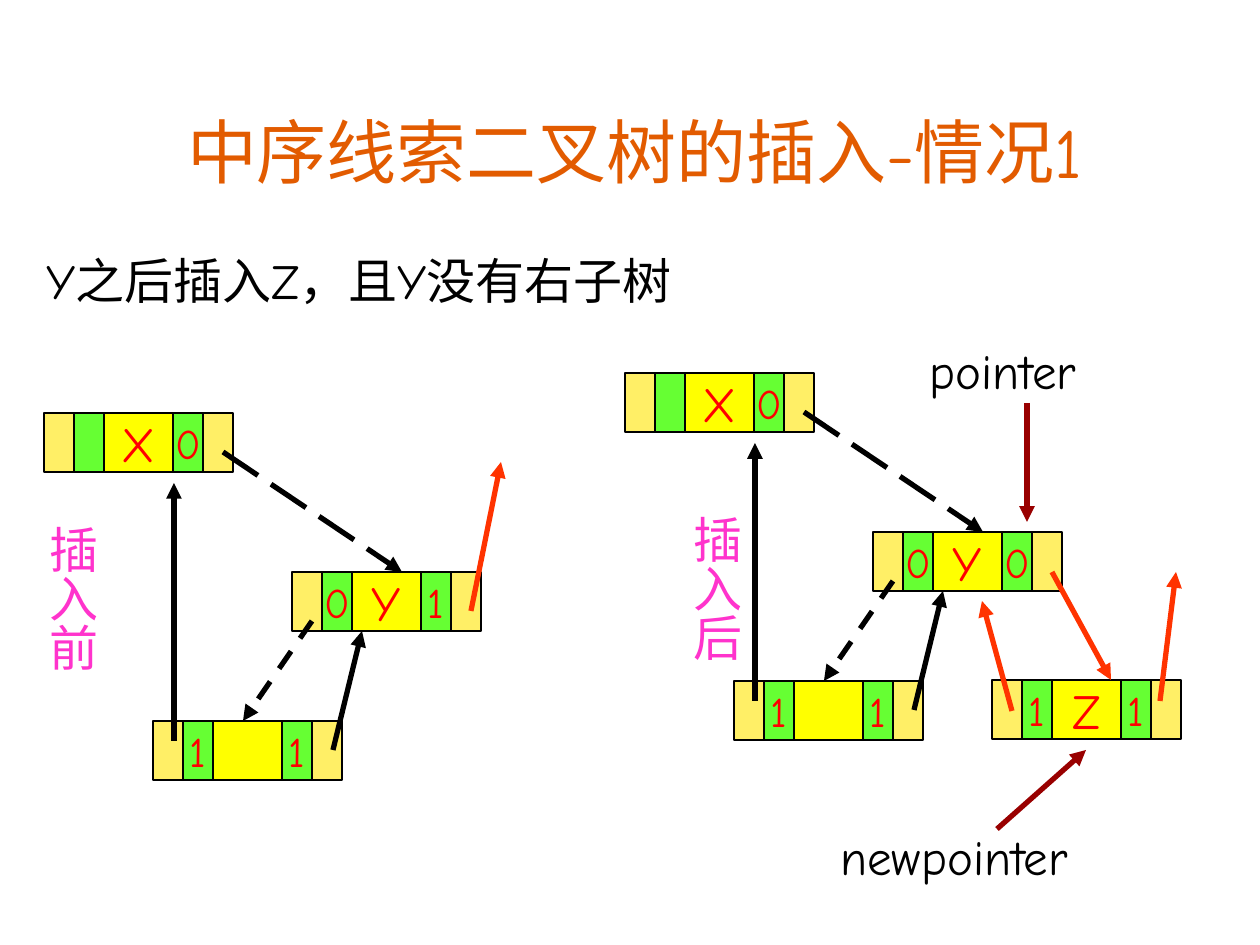
"""Build a slide on inserting a node into an inorder threaded binary tree."""
import dataclasses
import typing

import lxml.etree
import pptx
import pptx.dml.color
import pptx.enum.dml
import pptx.enum.shapes
import pptx.enum.text
import pptx.oxml.ns
import pptx.util

EMU_PER_PIXEL = 914400 / 126
CELL_WIDTHS = (30, 30, 69, 30, 30)
CELL_HEIGHT = 59
AFTER_SHIFT = (581, -40)
ALIGN = pptx.enum.text.PP_ALIGN
ANCHOR = pptx.enum.text.MSO_ANCHOR
DASH = pptx.enum.dml.MSO_LINE


@dataclasses.dataclass(frozen=True)
class Theme:
    font: str = "Comic Neue"
    title: str = "E25B00"
    ink: str = "000000"
    stage: str = "FF33CC"
    value: str = "FF0000"
    link_cell: str = "FFEF66"
    tag_cell: str = "66FF33"
    data_cell: str = "FFFF00"
    thread: str = "FF3300"
    pointer: str = "990000"
    title_size: int = 40
    text_size: int = 28
    tag_size: int = 24
    border: float = 0.75
    arrow: int = 3


THEME = Theme()


class Node(typing.NamedTuple):
    left: int
    top: int
    left_tag: str
    data: str
    right_tag: str


class Arrow(typing.NamedTuple):
    start: tuple[int, int]
    end: tuple[int, int]
    color: str = THEME.ink
    dash: typing.Any = None


class Label(typing.NamedTuple):
    text: str
    box: tuple[int, int, int, int]
    color: str = THEME.ink
    vertical: bool = False


TREE_NODES = (
    Node(44, 413, "", "X", "0"),
    Node(292, 572, "0", "Y", "1"),
    Node(153, 721, "1", "", "1"),
)
TREE_ARROWS = (
    Arrow((223, 452), (402, 572), dash=DASH.LONG_DASH),
    Arrow((312, 621), (243, 721), dash=DASH.DASH),
    Arrow((174, 741), (174, 483)),
    Arrow((333, 750), (362, 631)),
)
OLD_THREAD = Arrow((471, 611), (501, 462), THEME.thread)
NEW_NODE = Node(992, 680, "1", "Z", "1")
NEW_THREADS = (
    Arrow((1160, 701), (1176, 572), THEME.thread),
    Arrow((1052, 572), (1111, 680), THEME.thread),
    Arrow((1012, 711), (982, 601), THEME.thread),
)
LABELS = (
    Label("Y之后插入Z，且Y没有右子树", (34, 244, 992, 72)),
    Label("插入前", (25, 513, 83, 268), THEME.stage, True),
    Label("插入后", (669, 503, 83, 268), THEME.stage, True),
    Label("pointer", (917, 334, 218, 72)),
    Label("newpointer", (828, 820, 307, 72)),
)
POINTERS = (
    Arrow((997, 829), (1086, 750), THEME.pointer),
    Arrow((1027, 403), (1027, 522), THEME.pointer),
)


def lengths(*pixels: int) -> list[int]:
    """Turn pixels into EMU."""
    return [pptx.util.Emu(round(pixel * EMU_PER_PIXEL)) for pixel in pixels]


def rgb(color: str) -> pptx.dml.color.RGBColor:
    """Return a colour object for a hex string."""
    return pptx.dml.color.RGBColor.from_string(color)


def write_text(shape, text: str, *, size: int, color: str, align=ALIGN.LEFT,
               anchor=ANCHOR.TOP, wrap: bool = True) -> None:
    """Put one formatted paragraph into a shape."""
    frame = shape.text_frame
    frame.word_wrap = wrap
    frame.vertical_anchor = anchor
    paragraph = frame.paragraphs[0]
    paragraph.alignment = align
    run = paragraph.add_run()
    run.text = text
    run.font.name = THEME.font
    run.font.size = pptx.util.Pt(size)
    run.font.color.rgb = rgb(color)


def draw_node(slide, node: Node) -> None:
    """Draw the five adjoining cells of a node."""
    left = node.left
    fills = (THEME.link_cell, THEME.tag_cell, THEME.data_cell, THEME.tag_cell, THEME.link_cell)
    texts = ("", node.left_tag, node.data, node.right_tag, "")
    for width, fill, text in zip(CELL_WIDTHS, fills, texts):
        shape = slide.shapes.add_shape(pptx.enum.shapes.MSO_SHAPE.RECTANGLE,
                                       *lengths(left, node.top, width, CELL_HEIGHT))
        shape.shadow.inherit = False
        shape.fill.solid()
        shape.fill.fore_color.rgb = rgb(fill)
        shape.line.color.rgb = rgb(THEME.ink)
        shape.line.width = pptx.util.Pt(THEME.border)
        if text:
            size = THEME.text_size if fill == THEME.data_cell else THEME.tag_size
            write_text(shape, text, size=size, color=THEME.value,
                       align=ALIGN.CENTER, anchor=ANCHOR.MIDDLE, wrap=False)
        left += width


def draw_arrow(slide, arrow: Arrow) -> None:
    """Draw a straight line with a triangle at its end."""
    connector = slide.shapes.add_connector(pptx.enum.shapes.MSO_CONNECTOR.STRAIGHT,
                                           *lengths(*arrow.start, *arrow.end))
    connector.line.color.rgb = rgb(arrow.color)
    connector.line.width = pptx.util.Pt(THEME.arrow)
    if arrow.dash is not None:
        connector.line.dash_style = arrow.dash
    qualified = pptx.oxml.ns.qn
    line = connector.line._get_or_add_ln()
    lxml.etree.SubElement(line, qualified("a:tailEnd"), type="triangle")
    lxml.etree.SubElement(connector._element.spPr, qualified("a:effectLst"))


def draw_label(slide, label: Label) -> None:
    """Draw a text box, upright in columns if the label is vertical."""
    shape = slide.shapes.add_textbox(*lengths(*label.box))
    align = ALIGN.CENTER if label.vertical else ALIGN.LEFT
    write_text(shape, label.text, size=THEME.text_size, color=label.color, align=align)
    if label.vertical:
        frame = shape.text_frame
        frame.margin_left = frame.margin_right = pptx.util.Inches(0.05)
        frame.margin_top = frame.margin_bottom = pptx.util.Inches(0.1)
        frame._txBody.bodyPr.set("vert", "eaVert")


def draw_tree(slide, nodes: typing.Iterable[Node], shift: tuple[int, int] = (0, 0)) -> None:
    """Draw the shared tree at an offset."""
    across, down = shift
    for node in nodes:
        draw_node(slide, node._replace(left=node.left + across, top=node.top + down))
    for arrow in TREE_ARROWS:
        start, end = ((x + across, y + down) for x, y in (arrow.start, arrow.end))
        draw_arrow(slide, arrow._replace(start=start, end=end))


def main() -> None:
    """Build and save the slide."""
    presentation = pptx.Presentation()
    presentation.slide_width, presentation.slide_height = lengths(1260, 945)
    slide = presentation.slides.add_slide(presentation.slide_layouts[5])
    title = slide.shapes.title
    title.left, title.top, title.width, title.height = lengths(94, 94, 1081, 105)
    write_text(title, "中序线索二叉树的插入-情况1", size=THEME.title_size,
               color=THEME.title, align=ALIGN.CENTER, anchor=ANCHOR.BOTTOM)

    draw_tree(slide, TREE_NODES)
    draw_arrow(slide, OLD_THREAD)
    x_node, y_node, child = TREE_NODES
    draw_tree(slide, (x_node, y_node._replace(right_tag="0"), child), AFTER_SHIFT)
    draw_node(slide, NEW_NODE)
    for arrow in NEW_THREADS:
        draw_arrow(slide, arrow)
    for label in LABELS:
        draw_label(slide, label)
    for arrow in POINTERS:
        draw_arrow(slide, arrow)
    presentation.save("out.pptx")


if __name__ == "__main__":
    main()
